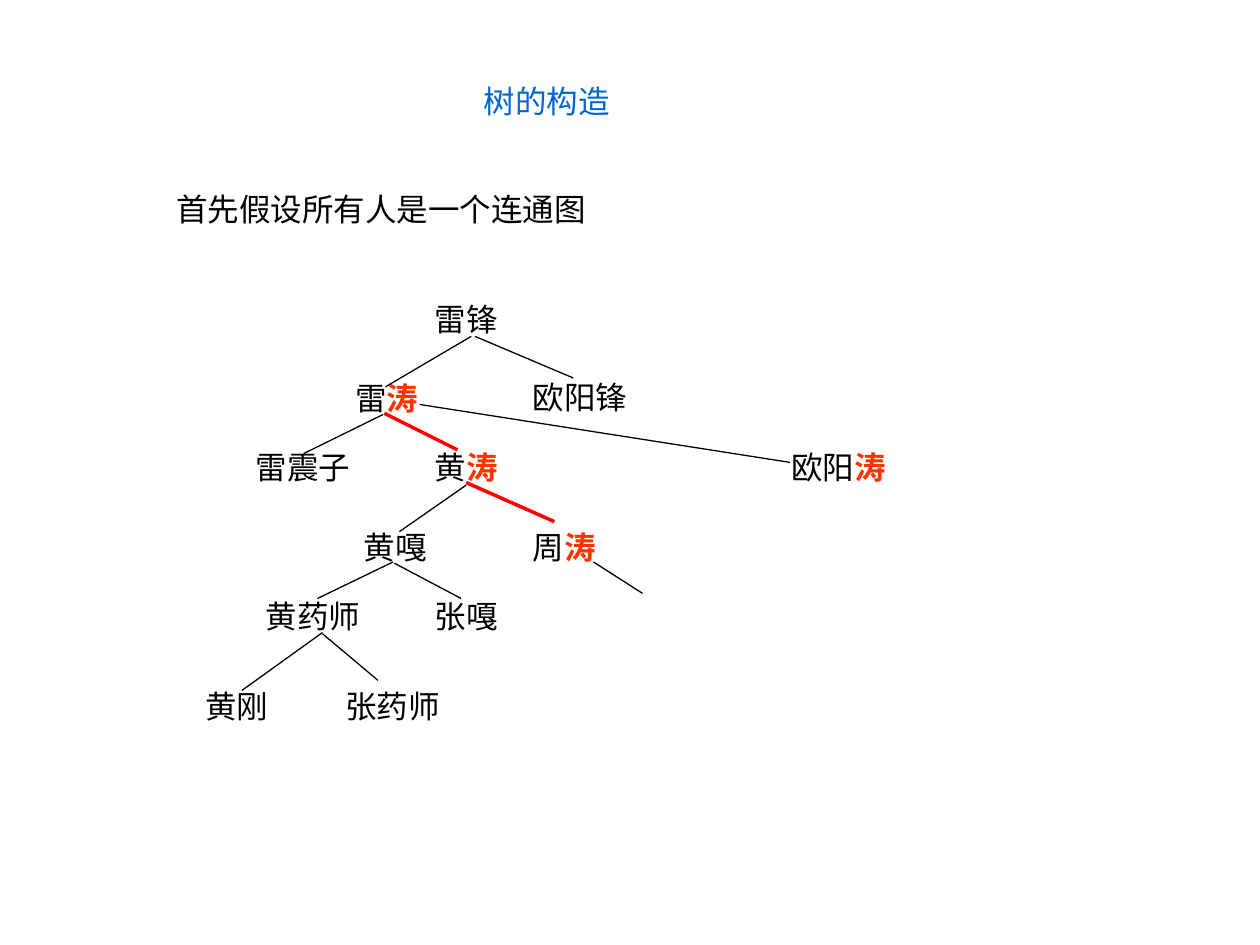
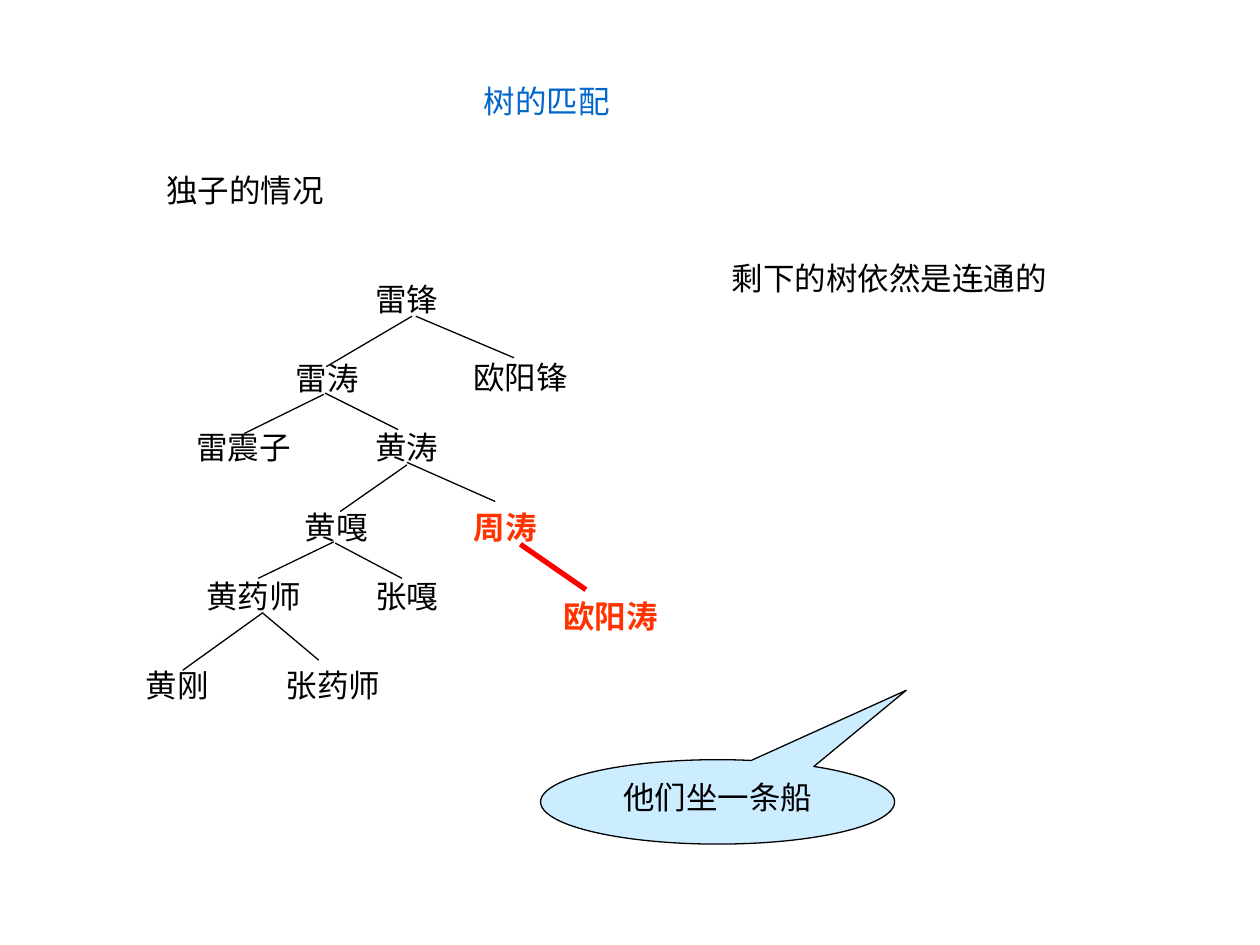
from lxml import etree
from pptx import Presentation
from pptx.dml.color import RGBColor
from pptx.enum.shapes import MSO_CONNECTOR, MSO_SHAPE
from pptx.enum.text import MSO_ANCHOR, MSO_AUTO_SIZE, PP_ALIGN
from pptx.oxml.ns import qn
from pptx.util import Inches, Pt

INK, ACCENT, PATH_RED = "000000", "FF3300", "FF0000"
TITLE_BLUE, BUBBLE_BLUE = "0066CC", "CCECFF"
LATIN, HAN = "Arial", "Noto Sans CJK SC"
THIN = 0.74

PEOPLE = {
    "雷锋": (3.35, 2.33, 1.02),
    "雷涛": (2.72, 2.96, 0.87),
    "欧阳锋": (4.13, 2.95, 1.34),
    "雷震子": (1.93, 3.51, 1.02),
    "黄涛": (3.35, 3.51, 1.02),
    "黄嘎": (2.79, 4.14, 1.02),
    "周涛": (4.13, 4.14, 1.02),
    "黄药师": (2.01, 4.69, 1.02),
    "张嘎": (3.35, 4.69, 1.02),
    "黄刚": (1.53, 5.4, 0.79),
    "张药师": (2.64, 5.4, 1.1),
}
BRANCHES = {
    "雷涛": (3.74, 2.67, 3.06, 3.07),
    "欧阳锋": (3.77, 2.67, 4.55, 3.0),
    "雷震子": (3.04, 3.29, 2.41, 3.6),
    "黄涛": (3.05, 3.28, 3.63, 3.57),
    "黄嘎": (3.7, 3.85, 3.17, 4.22),
    "周涛": (3.7, 3.83, 4.4, 4.14),
    "黄药师": (3.12, 4.46, 2.52, 4.75),
    "张嘎": (3.13, 4.47, 3.66, 4.75),
    "黄刚": (2.56, 5.02, 1.92, 5.48),
    "张药师": (2.56, 5.03, 3.0, 5.4),
}


def color(hex_code):
    """Turn a hex string into a colour."""
    return RGBColor.from_string(hex_code)


def style_run(run, hex_code=INK, latin=LATIN, bold=False):
    """Apply the common text size with the given colour and typeface."""
    run.font.size = Pt(18)
    run.font.name = latin
    run.font.bold = bold
    run.font.color.rgb = color(hex_code)
    east_asian = etree.SubElement(run.font._element, qn("a:ea"))
    east_asian.set("typeface", HAN)


def add_title(slide, title):
    """Add the unwrapped slide title."""
    heading = slide.shapes.add_textbox(Inches(3.74), Inches(0.6), Inches(2.52), Inches(0.58))
    heading.text_frame.text = title
    heading.text_frame.word_wrap = False
    style_run(heading.text_frame.paragraphs[0].runs[0], TITLE_BLUE, HAN)


def add_label(slide, words, left, top, width, stressed=""):
    """Add a line of text whose stressed ending is bold and red."""
    label = slide.shapes.add_textbox(Inches(left), Inches(top), Inches(width), Inches(0.4))
    frame = label.text_frame
    frame.word_wrap = True
    frame.auto_size = MSO_AUTO_SIZE.SHAPE_TO_FIT_TEXT
    line = frame.paragraphs[0]
    line.space_before = Pt(11.2)
    plain = words.removesuffix(stressed)
    if plain:
        line.text = plain
        style_run(line.runs[0])
    if stressed:
        ending = line.add_run()
        ending.text = stressed
        style_run(ending, ACCENT, bold=True)


def add_branch(slide, x1, y1, x2, y2, hex_code=INK, weight=THIN):
    """Draw a straight branch between two points."""
    branch = slide.shapes.add_connector(
        MSO_CONNECTOR.STRAIGHT, Inches(x1), Inches(y1), Inches(x2), Inches(y2))
    branch.line.color.rgb = color(hex_code)
    branch.line.width = Pt(weight)
    etree.SubElement(branch._element.spPr, qn("a:effectLst"))


def add_tree(slide, stressed, red_branches=(), dx=0, dy=0):
    """Draw the family tree, moved by dx and dy."""
    for name, (left, top, width) in PEOPLE.items():
        add_label(slide, name, left + dx, top + dy, width, stressed.get(name, ""))
    for child, (x1, y1, x2, y2) in BRANCHES.items():
        look = (PATH_RED, 2) if child in red_branches else (INK, THIN)
        add_branch(slide, x1 + dx, y1 + dy, x2 + dx, y2 + dy, *look)


def add_bubble(slide, words):
    """Add the speech bubble pointing up to the right."""
    bubble = slide.shapes.add_shape(
        MSO_SHAPE.OVAL_CALLOUT, Inches(4.29), Inches(6.03), Inches(2.81), Inches(0.67))
    bubble.adjustments[0] = 0.533
    bubble.adjustments[1] = -1.323
    bubble.shadow.inherit = False
    bubble.fill.solid()
    bubble.fill.fore_color.rgb = color(BUBBLE_BLUE)
    bubble.line.color.rgb = color(INK)
    bubble.line.width = Pt(THIN)
    frame = bubble.text_frame
    frame.text = words
    frame.vertical_anchor = MSO_ANCHOR.TOP
    frame.paragraphs[0].alignment = PP_ALIGN.CENTER
    style_run(frame.paragraphs[0].runs[0])


def build_construction(slide):
    """Build the slide on constructing the tree."""
    add_title(slide, "树的构造")
    add_label(slide, "首先假设所有人是一个连通图", 1.3, 1.46, 4.02)
    shared_name = {name: "涛" for name in PEOPLE if name.endswith("涛")}
    add_tree(slide, shared_name, red_branches=("黄涛", "周涛"))
    add_label(slide, "欧阳涛", 6.18, 3.51, 1.18, "涛")
    add_branch(slide, 3.33, 3.21, 6.27, 3.67)
    add_branch(slide, 4.71, 4.46, 5.1, 4.71)


def build_matching(slide):
    """Build the slide on matching an only child with its parent."""
    add_title(slide, "树的匹配")
    add_tree(slide, {"周涛": "周涛"}, dx=-0.47, dy=-0.16)
    add_label(slide, "欧阳涛", 4.37, 4.69, 1.18, "欧阳涛")
    add_branch(slide, 4.13, 4.32, 4.65, 4.68, PATH_RED, 3)
    add_label(slide, "独子的情况", 1.22, 1.31, 1.89)
    add_bubble(slide, "他们坐一条船")
    add_label(slide, "剩下的树依然是连通的", 5.71, 2.01, 2.76)


def main():
    """Build and save the presentation."""
    deck = Presentation()
    deck.slide_width, deck.slide_height = Inches(10), Inches(7.5)
    for build in (build_construction, build_matching):
        build(deck.slides.add_slide(deck.slide_layouts[6]))
    deck.save("out.pptx")


main()
